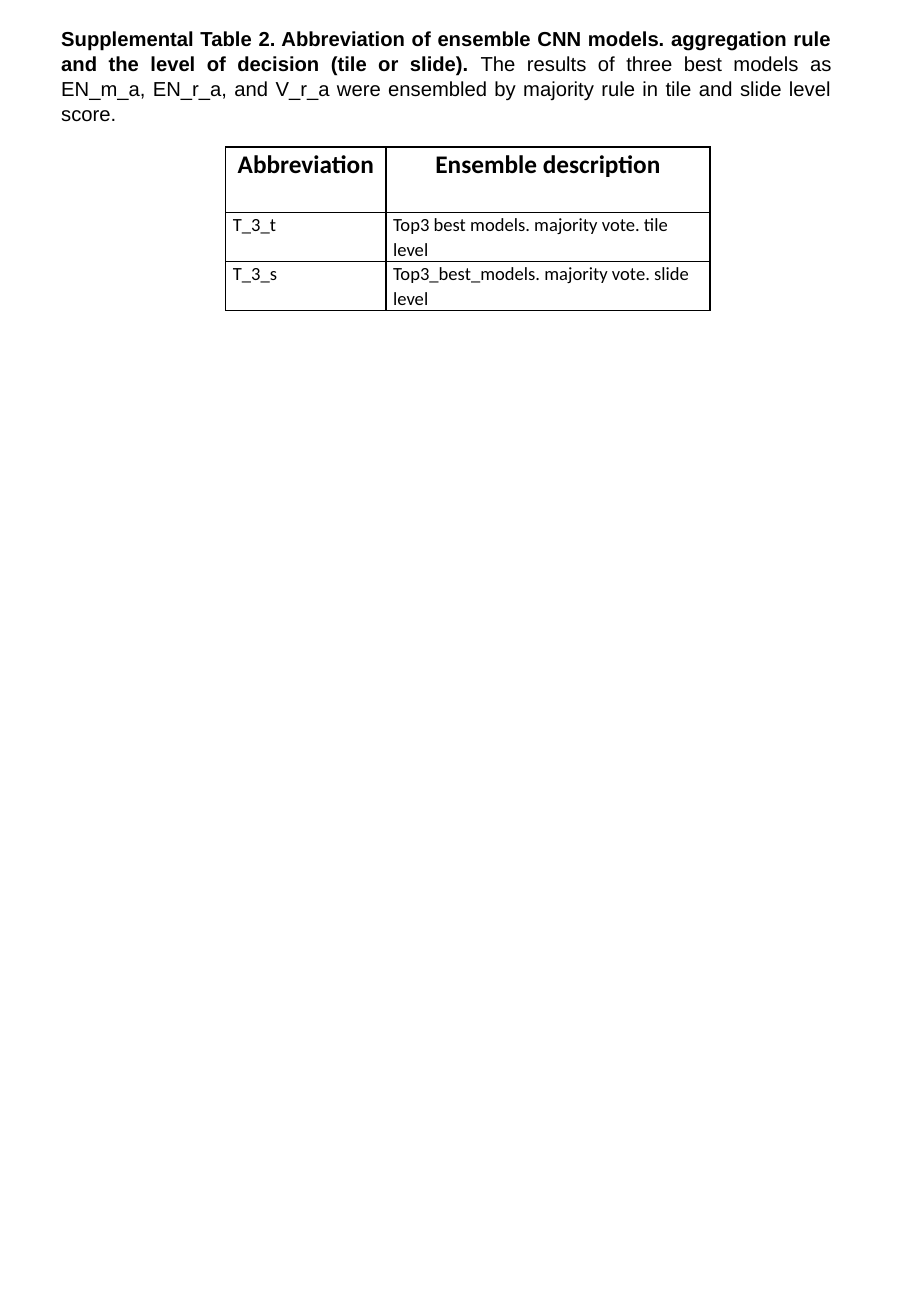
import pptx
import pptx.util
import pptx.dml.color
import pptx.enum.text
import pptx.oxml.ns
from lxml import etree

Cm, Pt = pptx.util.Cm, pptx.util.Pt
ALIGN = pptx.enum.text.PP_ALIGN
BLACK = pptx.dml.color.RGBColor(0, 0, 0)

CAPTION = [
    ("Supplemental Table 2. Abbreviation of ensemble CNN models. "
     "aggregation rule and the level of decision (tile or slide). ", True),
    ("The results of three best models as EN_m_a, EN_r_a, and V_r_a were "
     "ensembled by majority rule in tile and slide level score.", False),
]
ROWS = [
    ("Abbreviation", "Ensemble description"),
    ("T_3_t", "Top3 best models. majority vote. tile level"),
    ("T_3_s", "Top3_best_models. majority vote. slide level"),
]
COL_WIDTHS = [Cm(3.35), Cm(6.78)]
ROW_HEIGHTS = [Cm(1.37), Cm(0.97), Cm(0.97)]


def add_borders(cell):
    tc_pr = cell._tc.get_or_add_tcPr()
    for side in ("a:lnL", "a:lnR", "a:lnT", "a:lnB"):
        ln = etree.SubElement(tc_pr, pptx.oxml.ns.qn(side), w=str(Pt(1)))
        fill = etree.SubElement(ln, pptx.oxml.ns.qn("a:solidFill"))
        etree.SubElement(fill, pptx.oxml.ns.qn("a:srgbClr"), val=str(BLACK))


def set_font(font, name, size, bold=None):
    font.name, font.size, font.bold = name, Pt(size), bold
    font.color.rgb = BLACK


def add_caption(s):
    sp = s.shapes.title
    sp.left, sp.top, sp.width, sp.height = Cm(1.07), Cm(0.41), Cm(16.54), Cm(2.26)
    tf = sp.text_frame
    tf.word_wrap = True
    tf.auto_size = pptx.enum.text.MSO_AUTO_SIZE.NONE
    tf.vertical_anchor = pptx.enum.text.MSO_ANCHOR.TOP
    tf.margin_left = tf.margin_right = Cm(0.21)
    tf.margin_top = tf.margin_bottom = Cm(0.11)
    p = tf.paragraphs[0]
    p.alignment = ALIGN.JUSTIFY
    p.line_spacing = 1.04
    set_font(p.font, "Arial", 12)
    for text, bold in CAPTION:
        r = p.add_run()
        r.text = text
        r.font.bold = bold


def add_model_table(s):
    table = s.shapes.add_table(
        len(ROWS), len(COL_WIDTHS), Cm(4.72), Cm(3.07),
        sum(COL_WIDTHS), sum(ROW_HEIGHTS)).table
    table.first_row = table.horz_banding = False
    for column, width in zip(table.columns, COL_WIDTHS):
        column.width = width
    for i, (row, height) in enumerate(zip(table.rows, ROW_HEIGHTS)):
        row.height = height
        header = i == 0
        for cell, text in zip(row.cells, ROWS[i]):
            cell.margin_left = cell.margin_right = Cm(0.15)
            cell.margin_top = cell.margin_bottom = 0
            add_borders(cell)
            cell.fill.background()
            cell.text = text
            p = cell.text_frame.paragraphs[0]
            p.alignment = ALIGN.CENTER if header else ALIGN.LEFT
            p.line_spacing = 1.07
            p.space_after = Pt(8)
            set_font(p.font, "Calibri", 15 if header else 11, header)


def main():
    prs = pptx.Presentation()
    prs.slide_width, prs.slide_height = Cm(19.05), Cm(27.51)
    s = prs.slides.add_slide(prs.slide_layouts[5])
    add_caption(s)
    add_model_table(s)
    prs.save("out.pptx")


if __name__ == "__main__":
    main()
